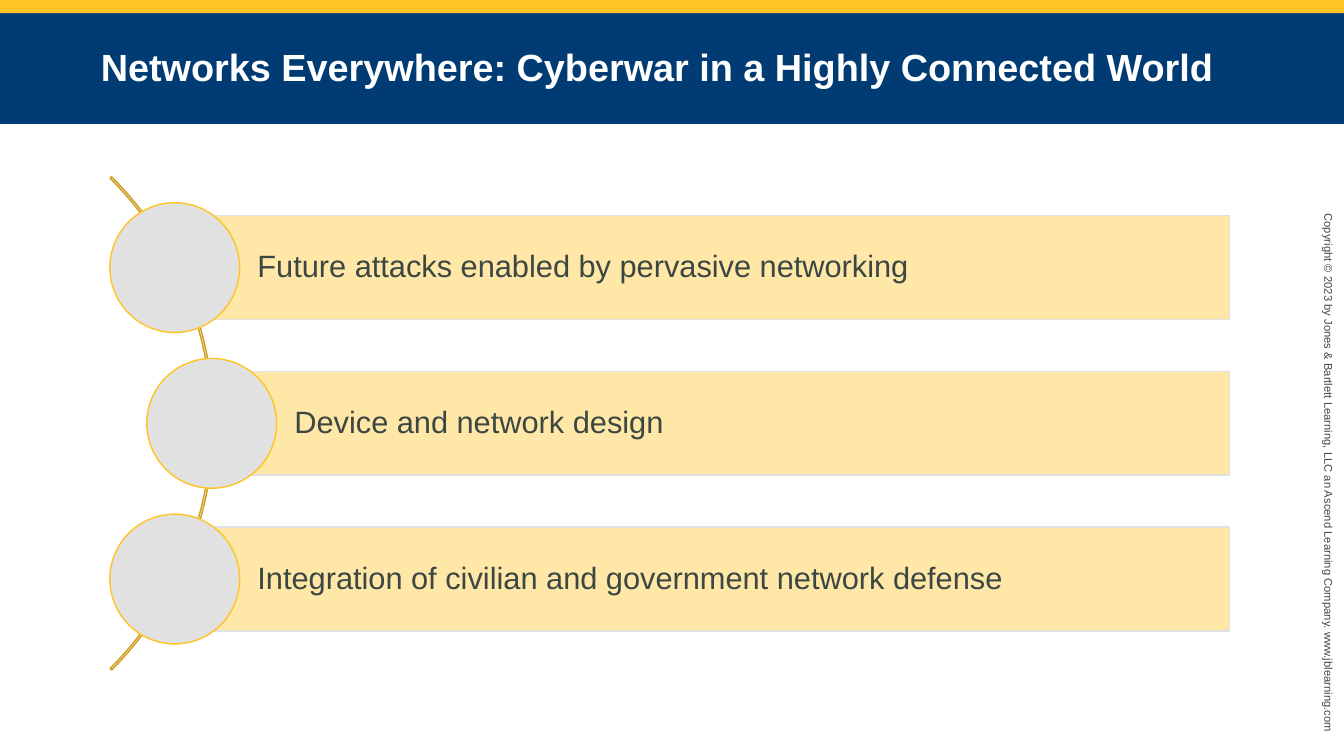
from dataclasses import dataclass
from math import sqrt

from pptx import Presentation
from pptx.dml.color import RGBColor
from pptx.enum.shapes import MSO_SHAPE as Shape
from pptx.enum.text import MSO_ANCHOR as Anchor, MSO_AUTO_SIZE as AutoSize, PP_ALIGN as Align
from pptx.util import Inches, Pt


@dataclass(frozen=True)
class Theme:
    font: str = "Arial"
    gold: str = "FFC425"
    navy: str = "003B74"
    white: str = "FFFFFF"
    text: str = "3C4743"
    bar: str = "FFE7A7"
    grey: str = "E1E1E1"
    ring: str = "FFC324"
    arc: str = "CC9C1D"
    title_size: int = 27
    bar_size: int = 22
    copyright_size: int = 8


theme = Theme()


def add_block(kind, left, top, width, height, fill=None, line=None):
    """Add a flat preset shape, measured in inches."""
    block = slide.shapes.add_shape(
        kind, Inches(left), Inches(top), Inches(width), Inches(height))
    block.shadow.inherit = False
    if fill:
        block.fill.solid()
        block.fill.fore_color.rgb = RGBColor.from_string(fill)
    else:
        block.fill.background()
    if line:
        block.line.color.rgb = RGBColor.from_string(line)
        block.line.width = Pt(1)
    else:
        block.line.fill.background()
    return block


def write(shape, text, size, color, margins, bold=False, spacing=1.0):
    """Fill a shape with one left-aligned paragraph."""
    frame = shape.text_frame
    frame.word_wrap = True
    frame.auto_size = AutoSize.NONE
    frame.vertical_anchor = Anchor.MIDDLE
    left, side, right = margins
    frame.margin_left, frame.margin_right = Inches(left), Inches(right)
    frame.margin_top = frame.margin_bottom = Inches(side)
    para = frame.paragraphs[0]
    para.text = text
    para.alignment = Align.LEFT
    para.line_spacing = spacing
    para.space_before = Pt(0)
    para.font.name = theme.font
    para.font.size = Pt(size)
    para.font.bold = bold
    para.font.color.rgb = RGBColor.from_string(color)


# Slide and grid
width, height = 13.33, 7.5
deck = Presentation()
deck.slide_width, deck.slide_height = Inches(width), Inches(height)
slide = deck.slides.add_slide(deck.slide_layouts[5])

row = height * 0.206
middle = height * 0.56
bar_right = width * 0.915
bar_height = row * 2 / 3
circle_size = row * 5 / 6

# Top band and title
band = 0.13
add_block(Shape.RECTANGLE, 0, 0, width, band, theme.gold)
title = slide.shapes.title
title.left, title.top = Inches(0), Inches(band)
title.width, title.height = Inches(width), Inches(1.1)
title.fill.solid()
title.fill.fore_color.rgb = RGBColor.from_string(theme.navy)
write(title, "Networks Everywhere: Cyberwar in a Highly Connected World",
      theme.title_size, theme.white, (1, 0.05, 1), bold=True, spacing=0.95)

# Copyright line down the right edge
copyright_box = slide.shapes.add_textbox(
    Inches(10.44), Inches(4.64), Inches(5.48), Inches(0.24))
copyright_box.rotation = 90
write(copyright_box,
      "Copyright © 2023 by Jones & Bartlett Learning, LLC an Ascend Learning Company. www.jblearning.com",
      theme.copyright_size, theme.text, (0.1, 0.05, 0.1))

# Arc that carries the circles
arc_center, arc_radius = -1.34, 3.46
arc = add_block(Shape.BLOCK_ARC, arc_center - arc_radius, middle - arc_radius,
                2 * arc_radius, 2 * arc_radius, line=theme.arc)
for index, value in enumerate((189, 27, 0.003)):
    arc.adjustments[index] = value

# One bar and circle per topic, each centred on the arc
topics = (
    "Future attacks enabled by pervasive networking",
    "Device and network design",
    "Integration of civilian and government network defense",
)
track_radius = 3.44
for index, topic in enumerate(topics):
    offset = (index - 1) * row
    center_x = arc_center + sqrt(track_radius ** 2 - offset ** 2)
    center_y = middle + offset
    bar = add_block(Shape.RECTANGLE, center_x, center_y - bar_height / 2,
                    bar_right - center_x, bar_height, theme.bar, theme.grey)
    write(bar, topic, theme.bar_size, theme.text, (0.82, 0.06, 0.06), spacing=0.9)
    add_block(Shape.OVAL, center_x - circle_size / 2, center_y - circle_size / 2,
              circle_size, circle_size, theme.grey, theme.ring)

deck.save("out.pptx")
